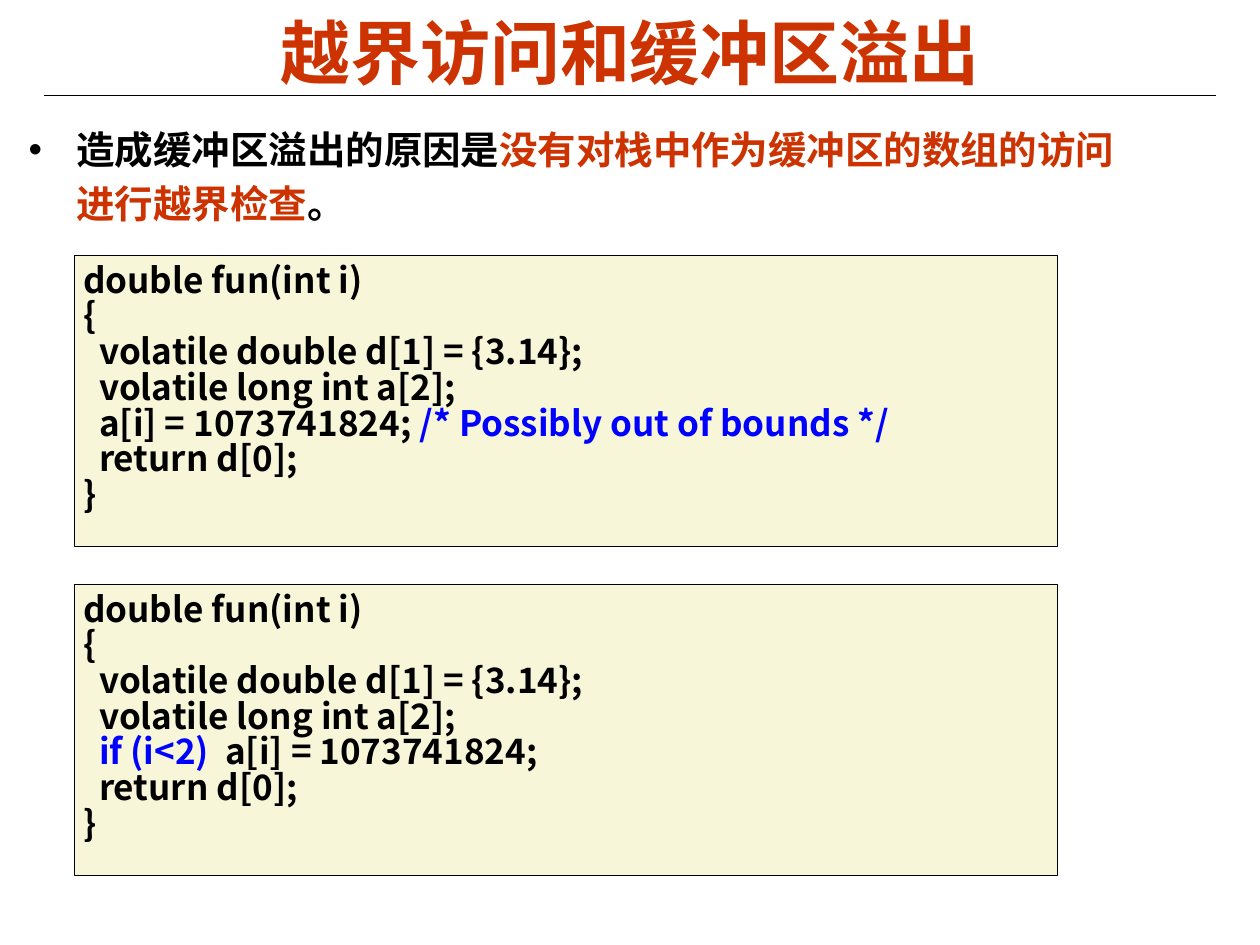
from lxml.etree import SubElement
from pptx import Presentation
from pptx.dml.color import RGBColor
from pptx.enum.shapes import MSO_CONNECTOR, MSO_SHAPE
from pptx.enum.text import MSO_ANCHOR, PP_ALIGN
from pptx.oxml.ns import qn
from pptx.util import Inches, Pt

COLORS = {"ink": "000000", "red": "CC3300", "blue": "0000FF", "cream": "F8F6D9"}
SANS = "Arial"
MONO = "Noto Sans CJK SC"


def color(name):
    return RGBColor.from_string(COLORS[name])


def add_runs(para, parts, size, font):
    """Fill a paragraph with (text, color) parts, all bold."""
    for text, name in parts:
        run = para.add_run()
        run.text = text
        run.font.size = Pt(size)
        run.font.name = font
        run.font.bold = True
        run.font.color.rgb = color(name)


def add_box(slide, left, top, width, height):
    box = slide.shapes.add_textbox(*map(Inches, (left, top, width, height)))
    box.text_frame.word_wrap = True
    return box.text_frame


def add_title(slide, text):
    frame = add_box(slide, 0.5, 0.16, 9, 0.49)
    frame.vertical_anchor = MSO_ANCHOR.MIDDLE
    para = frame.paragraphs[0]
    para.alignment = PP_ALIGN.CENTER
    add_runs(para, [(text, "red")], 40, SANS)


def add_rule(slide):
    y = Inches(0.76)
    rule = slide.shapes.add_connector(
        MSO_CONNECTOR.STRAIGHT, Inches(0.35), y, Inches(9.65), y)
    rule.line.color.rgb = color("ink")
    rule.line.width = Pt(0.75)
    SubElement(rule._element.spPr, qn("a:effectLst"))


def add_bullet(slide, parts):
    para = add_box(slide, 0.13, 0.9, 9, 1.18).paragraphs[0]
    para.line_spacing = 1.15
    props = para._p.get_or_add_pPr()
    props.set("marL", str(Inches(0.38)))
    props.set("indent", str(-Inches(0.38)))
    tint = SubElement(props, qn("a:buClr"))
    SubElement(tint, qn("a:srgbClr"), val=COLORS["ink"])
    SubElement(props, qn("a:buFont"), typeface=SANS)
    SubElement(props, qn("a:buChar"), char="•")
    add_runs(para, parts, 22, SANS)


def add_code(slide, top, lines):
    box = slide.shapes.add_shape(
        MSO_SHAPE.RECTANGLE, *map(Inches, (0.59, top, 7.8, 2.31)))
    box.shadow.inherit = False
    box.fill.solid()
    box.fill.fore_color.rgb = color("cream")
    box.line.color.rgb = color("ink")
    box.line.width = Pt(0.5)
    frame = box.text_frame
    frame.word_wrap = True
    frame.vertical_anchor = MSO_ANCHOR.TOP
    frame.margin_left = frame.margin_right = Inches(0.07)
    frame.margin_top = frame.margin_bottom = Inches(0.07)
    for i, parts in enumerate(lines):
        para = frame.add_paragraph() if i else frame.paragraphs[0]
        para.alignment = PP_ALIGN.LEFT
        para.line_spacing = 0.85
        add_runs(para, parts, 20, MONO)


def wrap_code(body):
    """Put the one differing statement inside the shared function."""
    head = ["double fun(int i)", "{", "  volatile double d[1] = {3.14};",
            "  volatile long int a[2];"]
    tail = ["  return d[0];", "}"]
    return ([[(line, "ink")] for line in head] + [body]
            + [[(line, "ink")] for line in tail])


def main():
    prs = Presentation()
    prs.slide_width, prs.slide_height = Inches(10), Inches(7.5)
    slide = prs.slides.add_slide(prs.slide_layouts[6])

    # Heading
    add_rule(slide)
    add_title(slide, "越界访问和缓冲区溢出")

    # Cause of the overflow
    add_bullet(slide, [
        ("造成缓冲区溢出的原因是", "ink"),
        ("没有对栈中作为缓冲区的数组的访问进行越界检查", "red"),
        ("。", "ink")])

    # Unchecked and checked versions
    unsafe = [("  a[i] = 1073741824; ", "ink"),
              ("/* Possibly out of bounds */", "blue")]
    safe = [("  ", "ink"), ("if (i<2)  ", "blue"), ("a[i] = 1073741824;", "ink")]
    for top, body in ((2.03, unsafe), (4.64, safe)):
        add_code(slide, top, wrap_code(body))

    prs.save("out.pptx")


if __name__ == "__main__":
    main()
